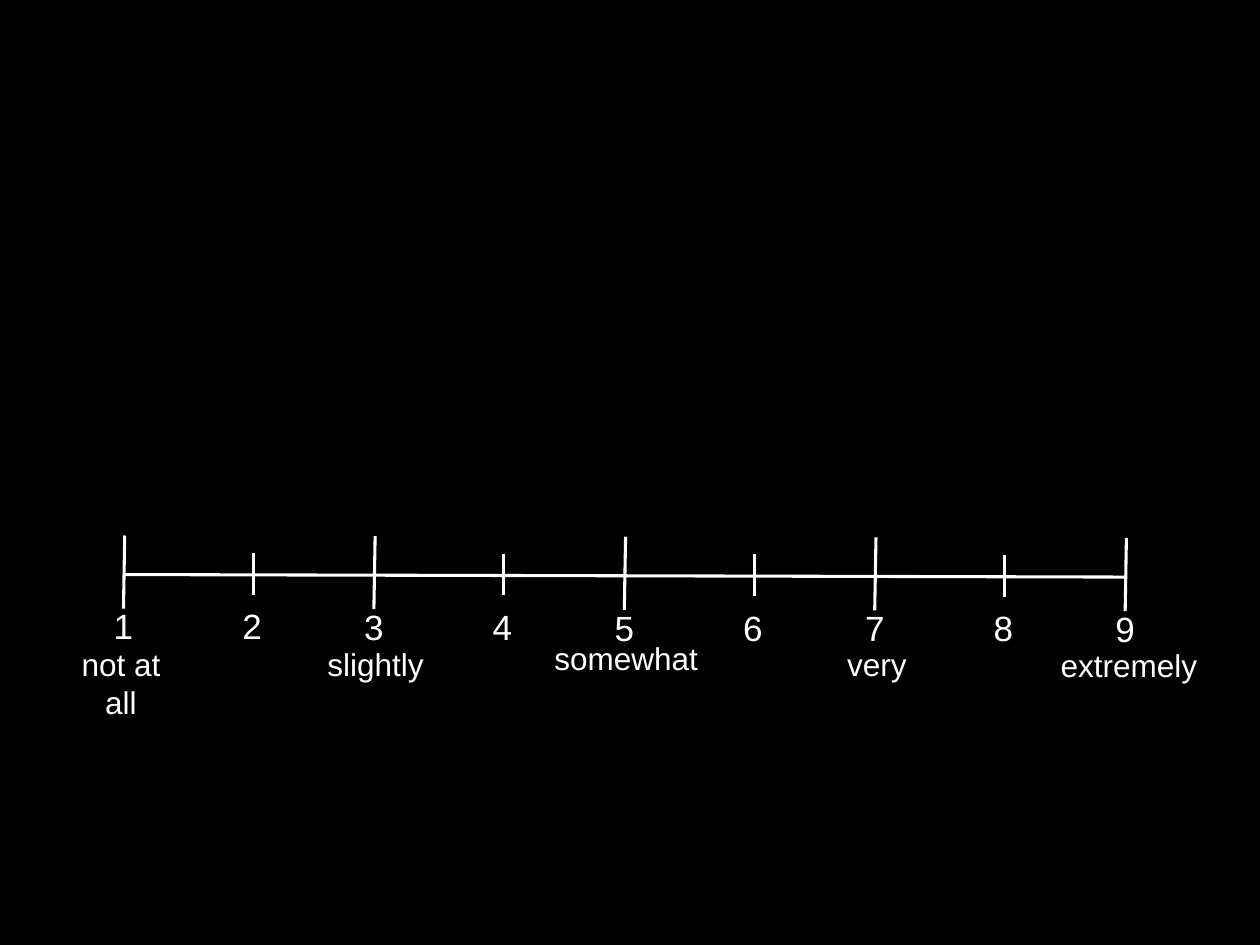
from pptx import Presentation
from pptx.dml.color import RGBColor
from pptx.enum.shapes import MSO_CONNECTOR as Connector
from pptx.enum.text import MSO_AUTO_SIZE as AutoSize, PP_ALIGN as Align
from pptx.oxml.ns import qn
from pptx.util import Inches, Pt
from lxml import etree


def color(hex_text):
    return RGBColor.from_string(hex_text)


class ScalePage:
    """Holds the style and the current slide."""
    font = "Arial"
    ink = "FFFFFF"
    ground = "000000"
    line_width = 1.75

    def __init__(self, deck):
        self.page = deck.slides.add_slide(deck.slide_layouts[6])
        fill = self.page.background.fill
        fill.solid()
        fill.fore_color.rgb = color(self.ground)

    def line(self, x1, y1, x2, y2):
        ends = [Inches(v) for v in (x1, y1, x2, y2)]
        line = self.page.shapes.add_connector(Connector.STRAIGHT, *ends)
        line.line.color.rgb = color(self.ink)
        line.line.width = Pt(self.line_width)
        etree.SubElement(line._element.spPr, qn("a:effectLst"))

    def text(self, words, center, top, width, height, size, margin, wrap=False):
        box = self.page.shapes.add_textbox(
            Inches(center - width / 2), Inches(top), Inches(width), Inches(height))
        frame = box.text_frame
        settings = {
            "word_wrap": wrap, "auto_size": AutoSize.NONE,
            "margin_left": Inches(margin), "margin_right": Inches(margin),
            "margin_top": Inches(margin / 2), "margin_bottom": Inches(margin / 2),
        }
        for name, value in settings.items():
            setattr(frame, name, value)
        para = frame.paragraphs[0]
        para.alignment = Align.CENTER
        span = para.add_run()
        span.text = words
        for name, value in {"name": self.font, "size": Pt(size)}.items():
            setattr(span.font, name, value)
        span.font.color.rgb = color(self.ink)

    def number(self, value, tick, top):
        self.text(str(value), tick - 0.01, top, 0.72, 0.61, 20, 0.28)


def main():
    deck = Presentation()
    deck.slide_width, deck.slide_height = Inches(10), Inches(7.5)
    scale = ScalePage(deck)

    # Label, center, top, box width, box height
    labels = [
        ("not at all", 0.96, 4.91, 1.78, 1.62),
        ("slightly", 2.98, 4.91, 1.64, 1.02),
        ("somewhat", 4.97, 4.86, 2.04, 0.72),
        ("very", 6.96, 4.91, 1.36, 1.02),
        ("extremely", 8.96, 4.92, 1.96, 1.02),
    ]

    # The scale falls slightly from left to right
    left, right, minor_offset, drop = 0.99, 8.94, 1.02, 0.005
    last = len(labels) - 1
    step = (right - left) / last

    for index, (words, center, top, width, height) in enumerate(labels):
        x, fall = left + step * index, drop * index

        # Major tick, its number and its label
        scale.line(x, 4.25 + fall, x - 0.01, 4.83 + fall)
        scale.number(2 * index + 1, x, 4.66 + fall)
        scale.text(words, center, top, width, height, 18, 0.42, wrap=index == 0)

        # Axis segment and minor tick up to the next label
        if index < last:
            scale.line(x - 0.01, 4.56 + fall, x - 0.01 + step, 4.56 + fall + drop)
            minor = x + minor_offset
            scale.line(minor, 4.39 + fall, minor, 4.72 + fall)
            scale.number(2 * index + 2, minor, 4.66 + fall)

    deck.save("out.pptx")


if __name__ == "__main__":
    main()
